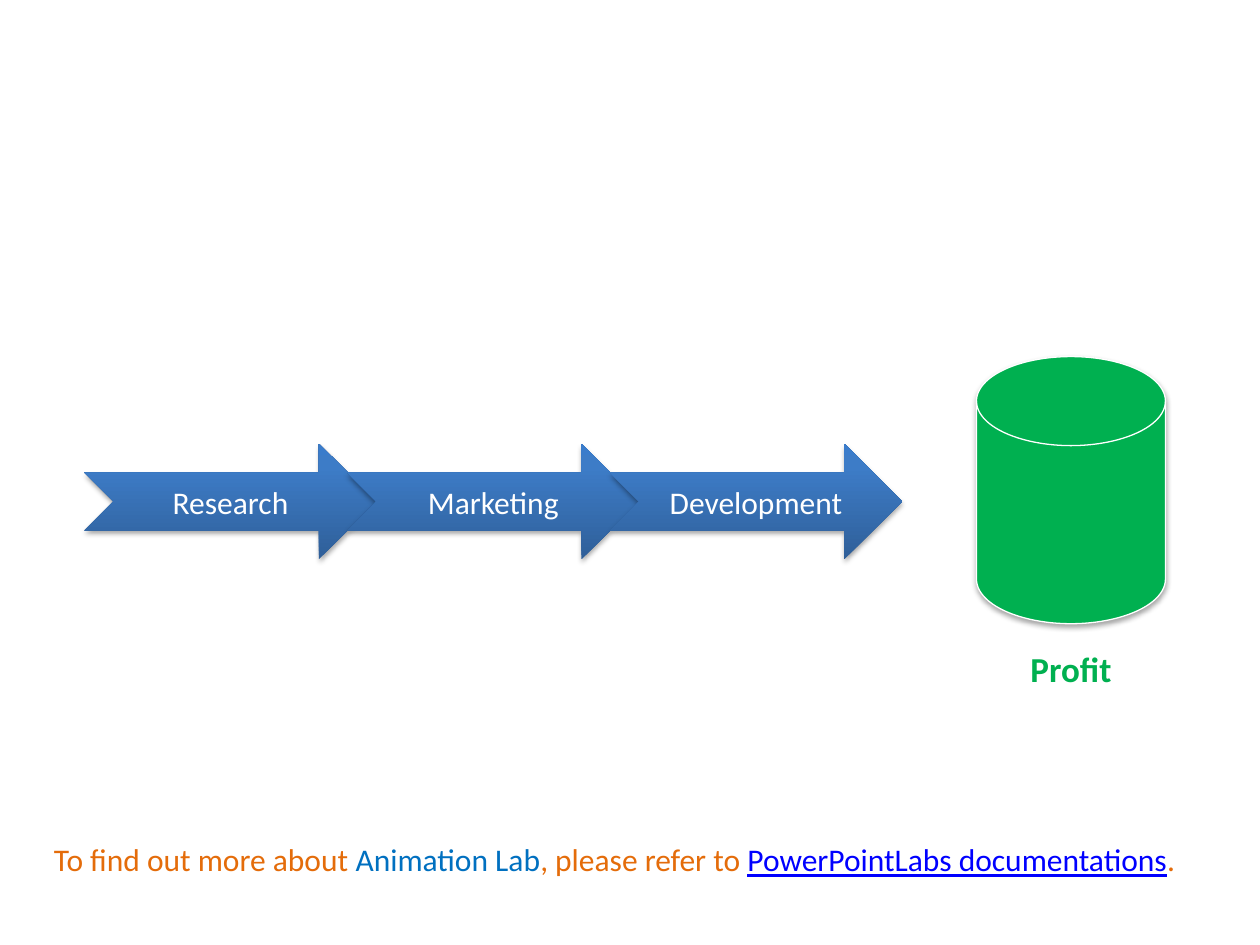
from lxml.etree import SubElement
from pptx import Presentation
from pptx.dml.color import RGBColor
from pptx.enum.shapes import MSO_SHAPE as SHAPE
from pptx.enum.text import MSO_ANCHOR as ANCHOR, MSO_AUTO_SIZE as AUTO, PP_ALIGN as ALIGN
from pptx.oxml.ns import qn
from pptx.util import Inches, Pt

WHITE, GREEN, ORANGE, BLUE, LINK = "FFFFFF", "00B050", "E46C0A", "0070C0", "0000FF"
ARROW_STOPS = [(0, "2F5F99"), (80, "3D7CC7"), (100, "3A7CCB")]


def rgb(value):
    return RGBColor.from_string(value)


def add_run(p, text, size=18, color=WHITE, bold=False, underline=False):
    r = p.add_run()
    r.text = text
    r.font.name = "Calibri"
    r.font.size = Pt(size)
    r.font.bold = bold
    r.font.underline = underline
    r.font.color.rgb = rgb(color)


def add_color(parent, value):
    return SubElement(parent, qn("a:srgbClr"), val=value)


class SlideBuilder:
    def __init__(self, s):
        self.s = s

    def shape(self, kind, x, y, w, h):
        sp = self.s.shapes.add_shape(kind, Inches(x), Inches(y), Inches(w), Inches(h))
        self.soft_shadow(sp)
        return sp

    def soft_shadow(self, sp):
        sp.shadow.inherit = False
        effects = sp._element.spPr.find(qn("a:effectLst"))
        shadow = SubElement(effects, qn("a:outerShdw"), blurRad=str(Pt(3.1)),
                            dist=str(Pt(1.8)), dir="5400000", rotWithShape="0")
        SubElement(add_color(shadow, "000000"), qn("a:alpha"), val="35000")

    def arrow(self, text, x, y, w, h):
        sp = self.shape(SHAPE.NOTCHED_RIGHT_ARROW, x, y, w, h)
        sp.line.fill.background()
        sp.fill.gradient()
        sp.fill.gradient_angle = 90
        stops = sp._element.spPr.find(qn("a:gradFill")).find(qn("a:gsLst"))
        for stop in list(stops):
            stops.remove(stop)
        for pos, color in ARROW_STOPS:
            add_color(SubElement(stops, qn("a:gs"), pos=str(pos * 1000)), color)
        tf = sp.text_frame
        tf.vertical_anchor = ANCHOR.MIDDLE
        p = tf.paragraphs[0]
        p.alignment = ALIGN.CENTER
        add_run(p, text)

    def disk(self, x, y, w, h, color):
        sp = self.shape(SHAPE.FLOWCHART_MAGNETIC_DISK, x, y, w, h)
        sp.fill.solid()
        sp.fill.fore_color.rgb = rgb(color)
        sp.line.color.rgb = rgb(WHITE)
        sp.line.width = Pt(0.75)

    def text(self, runs, x, y, w, h, align=ALIGN.LEFT):
        tf = self.s.shapes.add_textbox(Inches(x), Inches(y), Inches(w), Inches(h)).text_frame
        tf.word_wrap = True
        tf.auto_size = AUTO.SHAPE_TO_FIT_TEXT
        p = tf.paragraphs[0]
        p.alignment = align
        for text, style in runs:
            add_run(p, text, **style)


def main():
    prs = Presentation()
    prs.slide_width, prs.slide_height = Inches(10), Inches(7.5)
    slide = SlideBuilder(prs.slides.add_slide(prs.slide_layouts[6]))

    # Process arrows, each overlapping the one before
    for i, step in enumerate(["Research", "Marketing", "Development"]):
        slide.arrow(step, 0.67 + i * 2.085, 3.52, 2.32, 0.92)

    # Result
    slide.disk(7.75, 2.83, 1.5, 2.12, GREEN)
    slide.text([("Profit", dict(size=20, color=GREEN, bold=True))],
               7.96, 5.09, 1.08, 0.44, ALIGN.CENTER)

    # Footer note
    slide.text([("To find out more about ", dict(color=ORANGE)),
                ("Animation Lab", dict(color=BLUE)),
                (", please refer to ", dict(color=ORANGE)),
                ("PowerPointLabs documentations", dict(color=LINK, underline=True)),
                (".", dict(color=ORANGE))],
               0.33, 6.62, 9.42, 0.4)

    prs.save("out.pptx")


if __name__ == "__main__":
    main()
